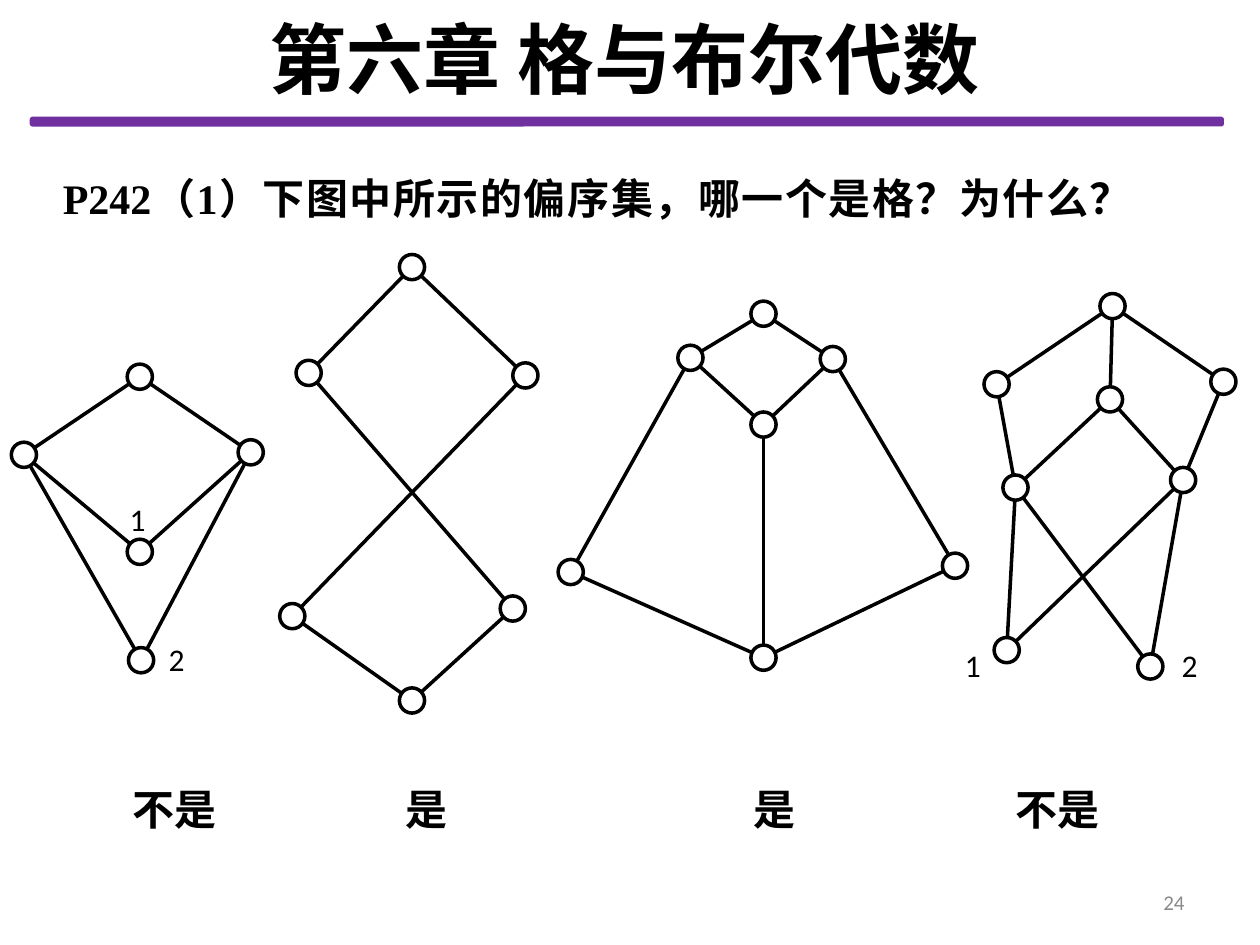
from dataclasses import dataclass
from lxml import etree
from pptx import Presentation
from pptx.dml.color import RGBColor
from pptx.enum.shapes import MSO_CONNECTOR as Connector, MSO_SHAPE as Shape
from pptx.enum.text import MSO_ANCHOR as Anchor, PP_ALIGN as Align
from pptx.oxml.ns import qn
from pptx.slide import Slide
from pptx.util import Inches, Pt

COLORS = {"ink": "000000", "paper": "FFFFFF", "rule": "7030A0", "number": "898989"}
NODE_SIZE = 0.2
LINE_WIDTH = 2

# Each Hasse diagram: node centres by name, and the covering pairs.
DIAGRAMS = [
    ({"top": (1.11, 2.99), "left": (0.19, 3.61), "right": (1.99, 3.59),
      "1": (1.11, 4.38), "2": (1.12, 5.24)},
     ["top left", "top right", "left 1", "right 1", "left 2", "right 2"]),
    ({"top": (3.27, 2.12), "left": (2.45, 2.96), "right": (4.17, 2.98),
      "low_left": (2.32, 4.89), "low_right": (4.07, 4.83), "bottom": (3.27, 5.56)},
     ["top left", "top right", "left low_right", "right low_left",
      "low_left bottom", "low_right bottom"]),
    ({"top": (6.06, 2.49), "left": (5.48, 2.84), "right": (6.61, 2.85),
      "middle": (6.06, 3.37), "low_left": (4.53, 4.54),
      "low_right": (7.58, 4.49), "bottom": (6.06, 5.22)},
     ["top left", "top right", "left middle", "right middle", "left low_left",
      "right low_right", "middle bottom", "low_left bottom", "low_right bottom"]),
    ({"top": (8.83, 2.43), "left": (7.91, 3.05), "right": (9.71, 3.03),
      "middle": (8.81, 3.17), "low_left": (8.06, 3.87),
      "low_right": (9.39, 3.81), "1": (7.99, 5.16), "2": (9.13, 5.29)},
     ["top left", "top middle", "top right", "left low_left", "middle low_left",
      "middle low_right", "right low_right", "low_left 1", "low_left 2",
      "low_right 1", "low_right 2"]),
]
NODE_LABELS = [("2", 1.24, 5.03), ("1", 0.93, 3.92), ("2", 9.28, 5.08), ("1", 7.56, 5.08)]
ANSWERS = ["不是", "是", "是", "不是"]
ANSWER_TABS = [2.17, 4.93, 7.01]


@dataclass
class SlideBuilder:
    slide: Slide
    body_font: str = "Times New Roman"
    label_font: str = "Calibri"
    title_font: str = "Lato"

    def format_text(self, shape, text, size, font, color="ink", bold=False, align=Align.LEFT):
        frame = shape.text_frame
        frame.text = text
        frame.vertical_anchor = Anchor.TOP
        paragraph = frame.paragraphs[0]
        paragraph.alignment = align
        for run in paragraph.runs:
            run.font.size = Pt(size)
            run.font.name = font
            run.font.bold = bold
            run.font.color.rgb = RGBColor.from_string(COLORS[color])
        return paragraph

    def title(self, text, left, top, width, height):
        shape = self.slide.shapes.title
        shape.left, shape.top = Inches(left), Inches(top)
        shape.width, shape.height = Inches(width), Inches(height)
        self.format_text(shape, text, 44, self.title_font, bold=True, align=Align.CENTER)
        shape.text_frame.word_wrap = False

    def text(self, text, left, top, width, height, size, font, wrap=False, **style):
        shape = self.slide.shapes.add_textbox(
            Inches(left), Inches(top), Inches(width), Inches(height))
        shape.text_frame.word_wrap = wrap
        return self.format_text(shape, text, size, font, **style)

    def tab_stops(self, paragraph, positions):
        tabs = etree.SubElement(paragraph._p.get_or_add_pPr(), qn("a:tabLst"))
        for position in positions:
            etree.SubElement(tabs, qn("a:tab"), pos=str(Inches(position)), algn="l")

    def shape(self, kind, left, top, width, height, fill, line):
        shape = self.slide.shapes.add_shape(
            kind, Inches(left), Inches(top), Inches(width), Inches(height))
        shape.shadow.inherit = False
        shape.fill.solid()
        shape.fill.fore_color.rgb = RGBColor.from_string(COLORS[fill])
        shape.line.color.rgb = RGBColor.from_string(COLORS[line])
        shape.line.width = Pt(LINE_WIDTH)

    def edge(self, start, end):
        line = self.slide.shapes.add_connector(
            Connector.STRAIGHT, *[Inches(value) for value in start + end])
        line.line.color.rgb = RGBColor.from_string(COLORS["ink"])
        line.line.width = Pt(LINE_WIDTH)
        etree.SubElement(line._element.spPr, qn("a:effectLst"))

    def diagram(self, nodes, edges):
        """Draw the edges first, so that the nodes cover their ends."""
        for pair in edges:
            upper, lower = pair.split()
            self.edge(nodes[upper], nodes[lower])
        for x, y in nodes.values():
            self.shape(Shape.OVAL, x - NODE_SIZE / 2, y - NODE_SIZE / 2,
                       NODE_SIZE, NODE_SIZE, "paper", "ink")


def main():
    presentation = Presentation()
    presentation.slide_width, presentation.slide_height = Inches(10), Inches(7.5)
    builder = SlideBuilder(presentation.slides.add_slide(presentation.slide_layouts[5]))

    builder.title("第六章 格与布尔代数", 2.03, 0.04, 5.86, 0.84)
    builder.shape(Shape.ROUNDED_RECTANGLE, 0.25, 0.94, 9.45, 0.05, "rule", "rule")
    question = builder.text("P242（1）下图中所示的偏序集，哪一个是格？为什么？",
                            0.4, 1.12, 8.35, 0.7, 24, builder.body_font,
                            wrap=True, bold=True, align=Align.JUSTIFY)
    question.line_spacing = 1.5

    for nodes, edges in DIAGRAMS:
        builder.diagram(nodes, edges)
    for label, left, top in NODE_LABELS:
        builder.text(label, left, top, 0.32, 0.4, 18, builder.label_font)

    answers = builder.text("\t".join(ANSWERS), 0.95, 6.17, 8.2, 0.5, 24,
                           builder.body_font, wrap=True, bold=True)
    builder.tab_stops(answers, ANSWER_TABS)
    builder.text("24", 7.17, 7.01, 2.33, 0.32, 12, builder.label_font,
                 wrap=True, color="number", align=Align.RIGHT)

    presentation.save("out.pptx")


if __name__ == "__main__":
    main()
